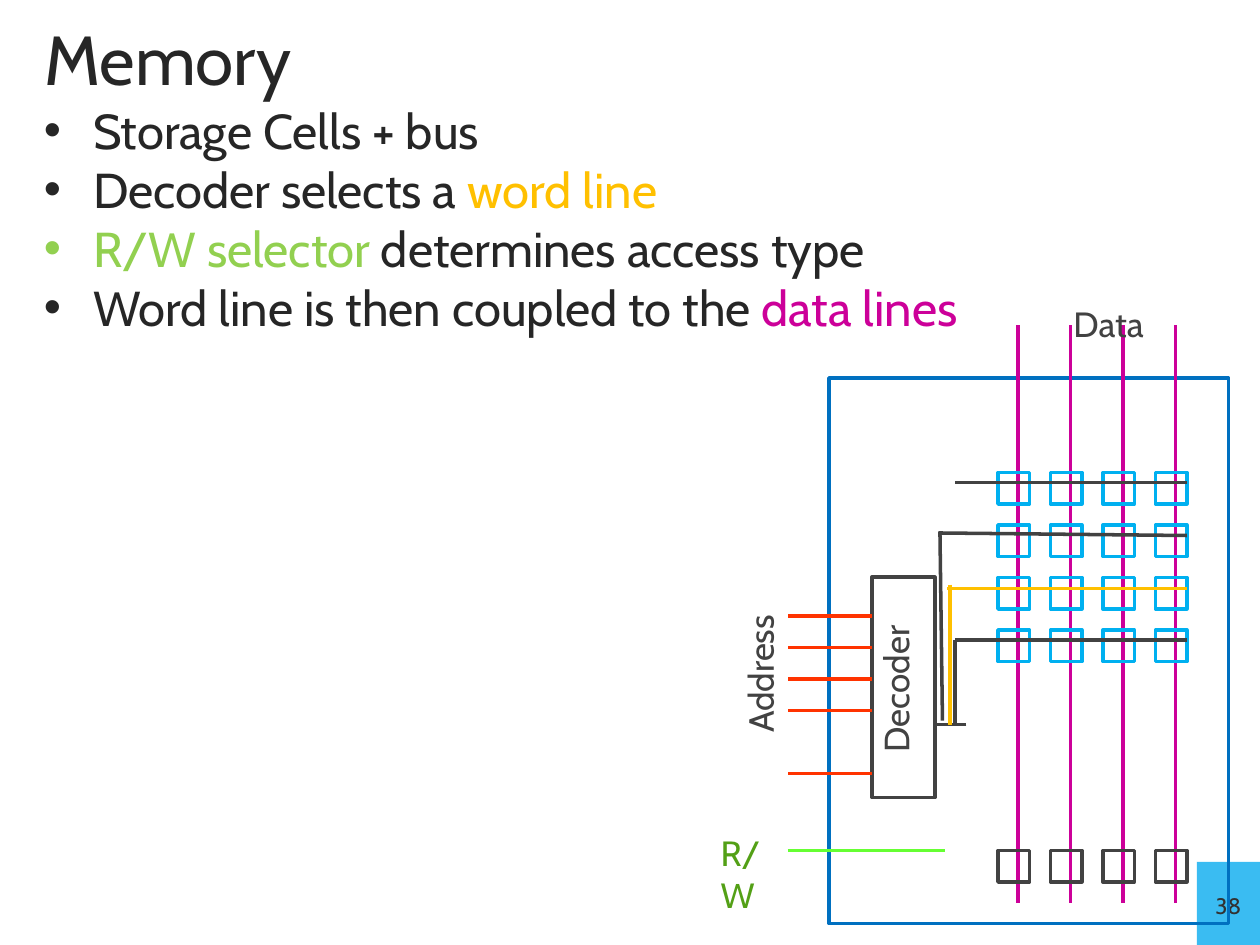
from lxml import etree
from pptx import Presentation
from pptx import util as u
from pptx.dml.color import RGBColor
from pptx.enum import shapes, text
from pptx.oxml.ns import qn

FONT = "Cabin"
DARK, GREY, GOLD, MAGENTA = "262626", "424242", "FFC000", "CC0099"
CELL_BLUE, FRAME_BLUE, PAGE_BLUE = "00B0F0", "0070C0", "3ABCF2"
PITCH = 5 / 12
CELL = 0.25
COUNT = 4


def color(value):
    return RGBColor.from_string(value)


def inches(*values):
    return [u.Inches(value) for value in values]


def set_values(target, values):
    for name, value in values.items():
        setattr(target, name, value)


def add_span(para, words, size, fill):
    span = para.add_run()
    span.text = words
    set_values(span.font, {"name": FONT, "size": u.Pt(size)})
    span.font.color.rgb = color(fill)
    return span


def add_rectangle(slide, box, line=None, fill=None):
    rectangle = slide.shapes.add_shape(shapes.MSO_SHAPE.RECTANGLE, *inches(*box))
    rectangle.shadow.inherit = False
    if fill:
        rectangle.fill.solid()
        rectangle.fill.fore_color.rgb = color(fill)
    else:
        rectangle.fill.background()
    if line:
        rectangle.line.color.rgb = color(line)
        rectangle.line.width = u.Pt(2)
    else:
        rectangle.line.fill.background()
    return rectangle


def add_line(slide, origin, start, end, stroke):
    left, top = origin
    line = slide.shapes.add_connector(
        shapes.MSO_CONNECTOR.STRAIGHT,
        *inches(left + start[0], top + start[1], left + end[0], top + end[1]))
    line.line.color.rgb = color(stroke)
    line.line.width = u.Pt(2)
    etree.SubElement(line._element.spPr, qn("a:effectLst"))


def add_label(slide, box, words, fill=GREY, rotation=0, wrap=False):
    label = slide.shapes.add_textbox(*inches(*box))
    label.rotation = rotation
    label.text_frame.word_wrap = wrap
    add_span(label.text_frame.paragraphs[0], words, 20, fill)


def add_title(slide, box, words):
    title = slide.shapes.title
    set_values(title, dict(zip(("left", "top", "width", "height"), inches(*box))))
    set_values(title.text_frame, {
        "vertical_anchor": text.MSO_ANCHOR.MIDDLE,
        "auto_size": text.MSO_AUTO_SIZE.NONE,
        "word_wrap": True})
    para = title.text_frame.paragraphs[0]
    para.alignment = text.PP_ALIGN.LEFT
    add_span(para, words, 39.6, DARK)


def add_bullets(slide, box, items):
    frame = slide.shapes.add_textbox(*inches(*box)).text_frame
    frame.word_wrap = True
    for index, item in enumerate(items):
        para = frame.add_paragraph() if index else frame.paragraphs[0]
        settings = para._p.get_or_add_pPr()
        settings.set("marL", str(u.Inches(0.64)))
        settings.set("indent", str(u.Inches(-0.39)))
        etree.SubElement(settings, qn("a:buFont"), typeface="Arial")
        etree.SubElement(settings, qn("a:buChar"), char="•")
        for words, fill in item:
            add_span(para, words, 28, fill)


def add_page_number(slide, box, number):
    badge = add_rectangle(slide, box, fill=PAGE_BLUE)
    set_values(badge.text_frame, {
        "vertical_anchor": text.MSO_ANCHOR.MIDDLE, "word_wrap": False})
    para = badge.text_frame.paragraphs[0]
    para.alignment = text.PP_ALIGN.CENTER
    span = add_span(para, number, 16, "323232")
    span._r.get_or_add_rPr().set("cap", "small")


def add_storage(slide, origin):
    left, top = origin
    for column in range(COUNT):
        x = 1.5 + column * PITCH
        add_line(slide, origin, (x, -0.42), (x, 4.17), MAGENTA)
    rows = [(0.75 + row * PITCH, CELL_BLUE) for row in range(COUNT)]
    for y, stroke in rows + [(3.75, GREY)]:
        for column in range(COUNT):
            cell = (left + 1.34 + column * PITCH, top + y, CELL, CELL)
            add_rectangle(slide, cell, line=stroke)
    add_label(slide, (left + 1.84, top - 0.65, 0.79, 0.44), "Data")


def add_decoder(slide, origin):
    left, top = origin
    add_rectangle(slide, (left + 0.34, top + 1.58, 0.5, 1.75), line=GREY)
    add_label(slide, (left - 0.1, top + 2.22, 1.26, 0.44), "Decoder", rotation=270)
    add_label(slide, (left - 1.16, top + 2.08, 1.23, 0.44), "Address", rotation=270)
    for step in (0, 1, 2, 3, 5):
        y = 1.89 + step * 0.25
        add_line(slide, origin, (0.34, y), (-0.33, y), "FF3300")


def add_word_lines(slide, origin):
    word_lines = [
        ((1, 0.83), (2.84, 0.83), GREY),
        ((0.87, 1.23), (2.84, 1.25), GREY),
        ((0.94, 1.67), (2.84, 1.67), GOLD),
        ((1, 2.08), (2.84, 2.08), GREY),
        ((1, 2.08), (1, 2.75), GREY),
        ((1.09, 2.75), (0.84, 2.75), GREY),
        ((0.96, 1.64), (0.96, 2.75), GOLD),
        ((0.88, 1.22), (0.9, 2.72), GREY),
    ]
    for start, end, stroke in word_lines:
        add_line(slide, origin, start, end, stroke)


def add_memory(slide, box):
    origin = left, top = box[:2]
    add_rectangle(slide, box, line=FRAME_BLUE)
    add_storage(slide, origin)
    add_decoder(slide, origin)
    add_word_lines(slide, origin)
    add_line(slide, origin, (-0.33, 3.75), (0.92, 3.75), "66FF33")
    add_label(slide, (left - 0.96, top + 3.55, 0.75, 0.44), "R/W", "53A016", wrap=True)


def main():
    deck = Presentation()
    set_values(deck, {"slide_width": u.Inches(10), "slide_height": u.Inches(7.5)})
    page = deck.slides.add_slide(deck.slide_layouts.get_by_name("Title Only"))
    add_page_number(page, (9.5, 6.84, 0.5, 0.66), "38")
    add_bullets(page, (0, 0.75, 9.75, 6.17), [
        [("Storage Cells + bus", DARK)],
        [("Decoder selects a ", DARK), ("word line", GOLD)],
        [("R/W selector ", "92D050"), ("determines access type", DARK)],
        [("Word line is then coupled to the ", DARK), ("data lines", MAGENTA)],
    ])
    add_title(page, (0.25, 0.17, 9.5, 0.58), "Memory")
    add_memory(page, (6.58, 3, 3.17, 4.33))
    deck.save("out.pptx")


if __name__ == "__main__":
    main()
